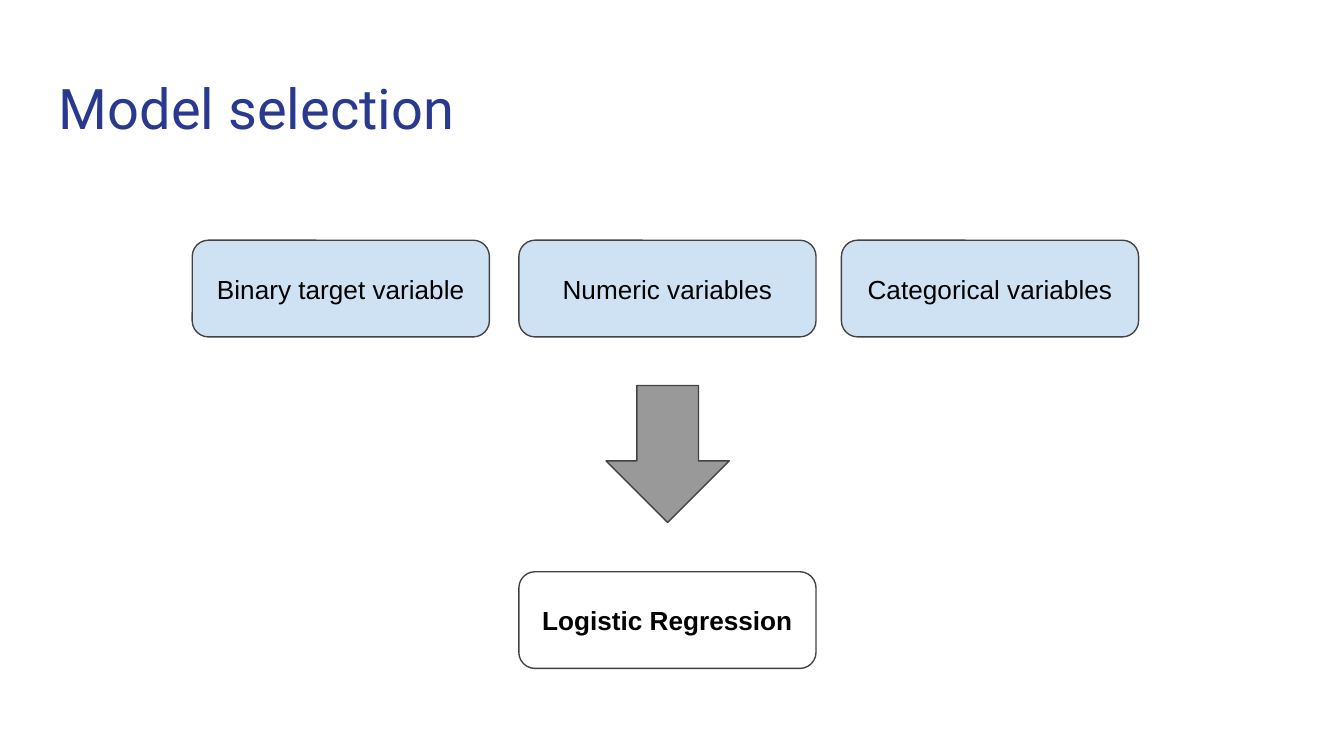
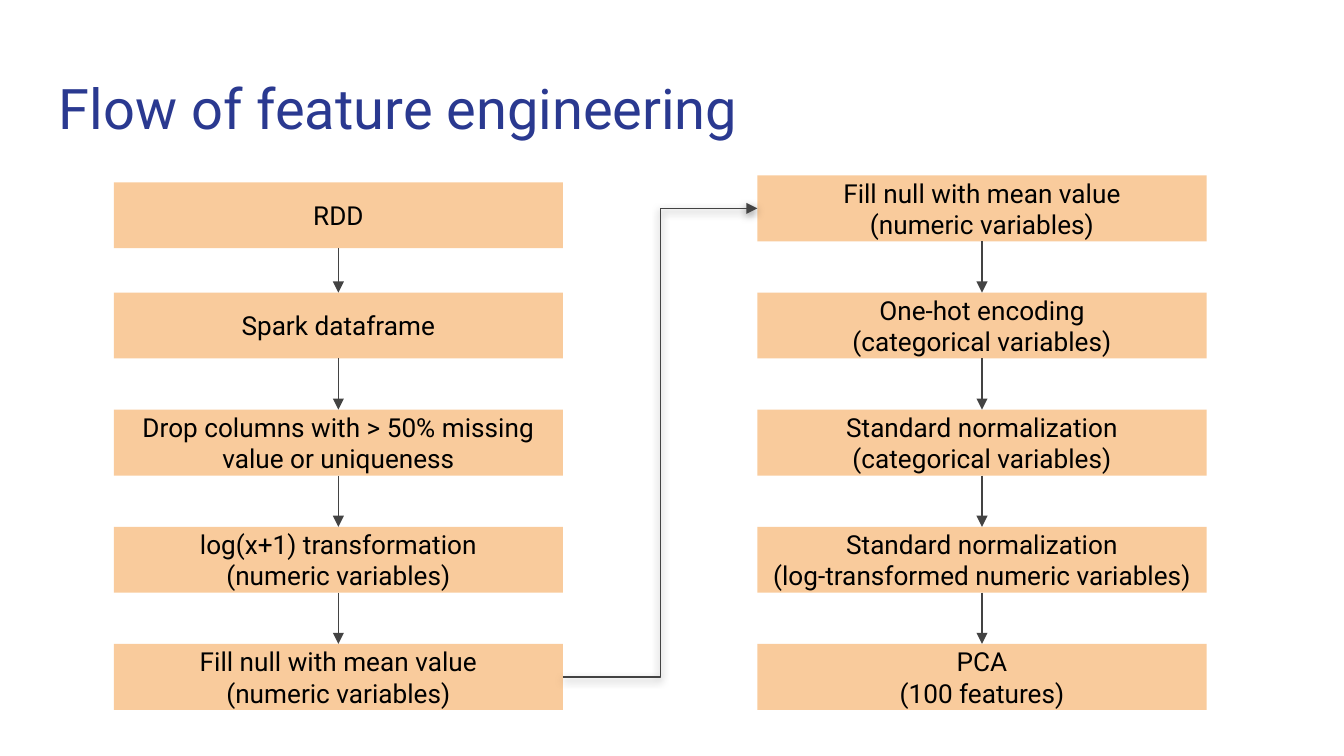
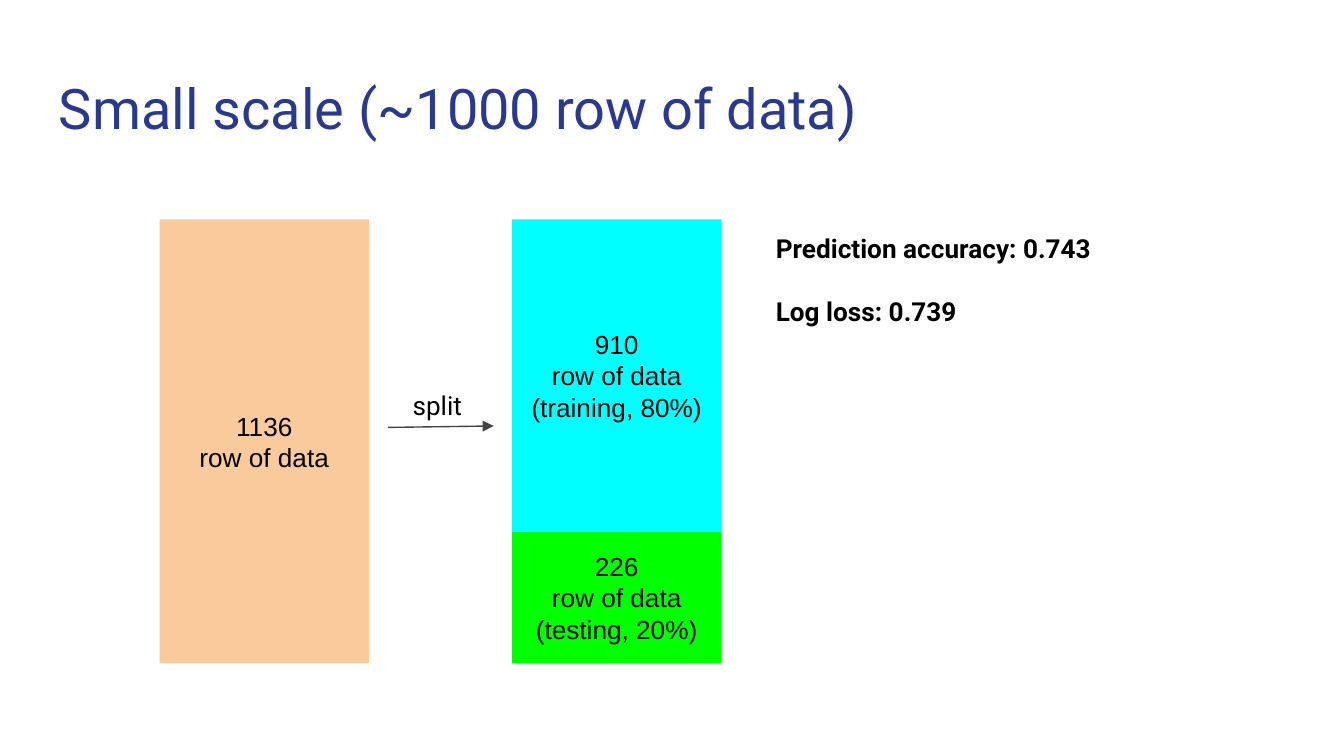
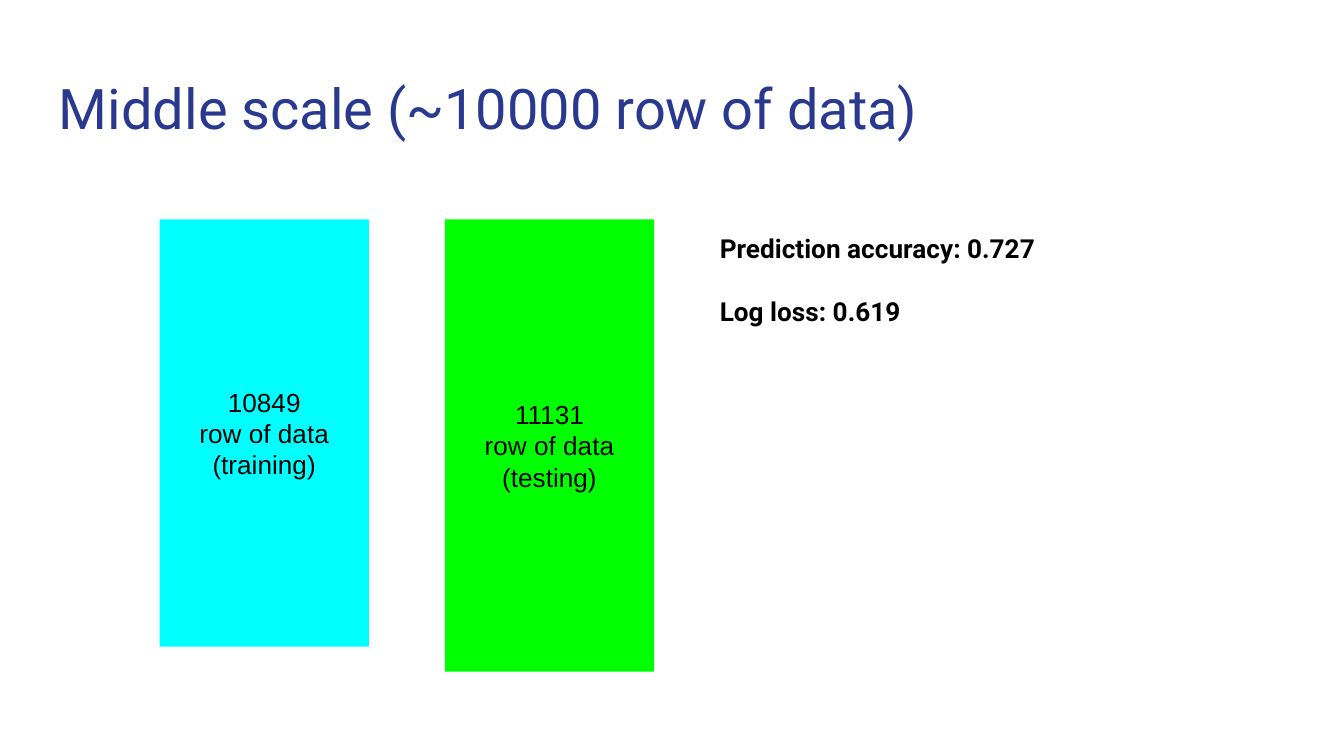
"""Build four slides on model selection, feature engineering and model results."""
from lxml.etree import SubElement
from pptx import Presentation
from pptx.dml.color import RGBColor
from pptx.enum.shapes import MSO_CONNECTOR, MSO_SHAPE
from pptx.enum.text import MSO_ANCHOR, PP_ALIGN
from pptx.oxml.ns import qn
from pptx.util import Pt

color = RGBColor.from_string
BLACK, TITLE_BLUE, LINE_GRAY, ARROW_GRAY = "000000", "2A3990", "434343", "999999"
PALE_BLUE, ORANGE, CYAN, GREEN = "CFE2F3", "F9CB9C", "00FFFF", "00FF00"
TITLES = [
    "Model selection",
    "Flow of feature engineering",
    "Small scale (~1000 row of data)",
    "Middle scale (~10000 row of data)",
]


def add_box(slide, box, text, kind=None, fill=None, outline=None,
            font="Roboto", size=14, bold=False, text_color=BLACK):
    """Add a filled shape with centred text, or a plain text box when kind is None."""
    bounds = [Pt(value) for value in box]
    if kind is None:
        shape = slide.shapes.add_textbox(*bounds)
    else:
        shape = slide.shapes.add_shape(kind, *bounds)
        shape.shadow.inherit = False
        if fill:
            shape.fill.solid()
            shape.fill.fore_color.rgb = color(fill)
        else:
            shape.fill.background()
        if outline:
            shape.line.color.rgb = color(outline)
            shape.line.width = Pt(0.75)
        else:
            shape.line.fill.background()
    frame = shape.text_frame
    frame.word_wrap = True
    frame.vertical_anchor = MSO_ANCHOR.MIDDLE if kind else MSO_ANCHOR.TOP
    frame.margin_left = frame.margin_right = Pt(7.2)
    frame.margin_top = frame.margin_bottom = Pt(7.2)
    frame.text = text
    for paragraph in frame.paragraphs:
        paragraph.alignment = PP_ALIGN.CENTER if kind else PP_ALIGN.LEFT
        paragraph.font.name = font
        paragraph.font.size = Pt(size)
        paragraph.font.bold = bold
        paragraph.font.color.rgb = color(text_color)
    return shape


def add_arrow(slide, kind, start_x, start_y, end_x, end_y):
    """Add a thin gray arrow and return it with its empty effect list."""
    arrow = slide.shapes.add_connector(kind, Pt(start_x), Pt(start_y), Pt(end_x), Pt(end_y))
    arrow.line.color.rgb = color(LINE_GRAY)
    arrow.line.width = Pt(0.75)
    properties = arrow.element.spPr
    SubElement(properties.find(qn("a:ln")), qn("a:tailEnd"), type="triangle")
    effects = SubElement(properties, qn("a:effectLst"))
    return arrow, effects


presentation = Presentation()
presentation.slide_width = Pt(720)
presentation.slide_height = Pt(405)
slides = []
for title in TITLES:
    slide = presentation.slides.add_slide(presentation.slide_layouts[6])
    add_box(slide, (24.5, 32.4, 671, 47.5), title, size=30, text_color=TITLE_BLUE)
    slides.append(slide)
selection, flow, small_scale, middle_scale = slides

for left, top, text, fill, bold in [
    (103, 128.7, "Binary target variable", PALE_BLUE, False),
    (278, 128.7, "Numeric variables", PALE_BLUE, False),
    (450.8, 128.7, "Categorical variables", PALE_BLUE, False),
    (278, 306.3, "Logistic Regression", None, True),
]:
    add_box(selection, (left, top, 159.2, 51.8), text, MSO_SHAPE.ROUNDED_RECTANGLE,
            fill, LINE_GRAY, "Arial", bold=bold)
add_box(selection, (324.7, 206.5, 66, 73.4), "", MSO_SHAPE.DOWN_ARROW, ARROW_GRAY, LINE_GRAY)

STEP_WIDTH, STEP_HEIGHT, STEP_PITCH = 240.6, 35.3, 62.75
step_columns = [
    (61, [
        "RDD",
        "Spark dataframe",
        "Drop columns with > 50% missing value or uniqueness",
        "log(x+1) transformation\n(numeric variables)",
        "Fill null with mean value\n(numeric variables)",
    ]),
    (405.8, [
        "Fill null with mean value\n(numeric variables)",
        "One-hot encoding\n(categorical variables)",
        "Standard normalization\n(categorical variables)",
        "Standard normalization\n(log-transformed numeric variables)",
        "PCA\n(100 features)",
    ]),
]
columns = []
for left, steps in step_columns:
    column = []
    for row, text in enumerate(steps):
        top = 97.7 if text == "RDD" else 94 + row * STEP_PITCH
        column.append(add_box(flow, (left, top, STEP_WIDTH, STEP_HEIGHT), text,
                              MSO_SHAPE.RECTANGLE, ORANGE))
    for upper, lower in zip(column, column[1:]):
        arrow, effects = add_arrow(flow, MSO_CONNECTOR.STRAIGHT, 0, 0, 0, 0)
        arrow.begin_connect(upper, 2)
        arrow.end_connect(lower, 0)
    columns.append(column)

elbow, effects = add_arrow(flow, MSO_CONNECTOR.ELBOW, 0, 0, 0, 0)
elbow.begin_connect(columns[0][-1], 3)
elbow.end_connect(columns[1][0], 1)
shadow = SubElement(effects, qn("a:outerShdw"), blurRad=str(Pt(4.5)), dist=str(Pt(1.5)),
                    dir="5400000", algn="bl", rotWithShape="0")
shadow_color = SubElement(shadow, qn("a:srgbClr"), val=BLACK)
SubElement(shadow_color, qn("a:alpha"), val="50000")

DATA_TOP, DATA_WIDTH = 117.5, 112.2
for slide, left, top, height, text, fill in [
    (small_scale, 85.5, DATA_TOP, 237.8, "1136\nrow of data", ORANGE),
    (small_scale, 274.3, DATA_TOP, 167.4, "910\nrow of data\n(training, 80%)", CYAN),
    (small_scale, 274.3, 284.9, 70.4, "226\nrow of data\n(testing, 20%)", GREEN),
    (middle_scale, 85.5, DATA_TOP, 229, "10849\nrow of data\n(training)", CYAN),
    (middle_scale, 238.3, DATA_TOP, 242.3, "11131\nrow of data\n(testing)", GREEN),
]:
    add_box(slide, (left, top, DATA_WIDTH, height), text, MSO_SHAPE.RECTANGLE, fill, font="Arial")

add_arrow(small_scale, MSO_CONNECTOR.STRAIGHT, 207.8, 229, 264.5, 228.2)
add_box(small_scale, (213.9, 201.6, 57, 21.6), "split")

for slide, left, accuracy, log_loss in [
    (small_scale, 408.5, "0.743", "0.739"),
    (middle_scale, 378.5, "0.727", "0.619"),
]:
    results = add_box(slide, (left, DATA_TOP, 229.7, 59.8),
                      f"Prediction accuracy: {accuracy}\nLog loss: {log_loss}", bold=True)
    results.text_frame.paragraphs[1].space_before = Pt(16.5)

presentation.save("out.pptx")
